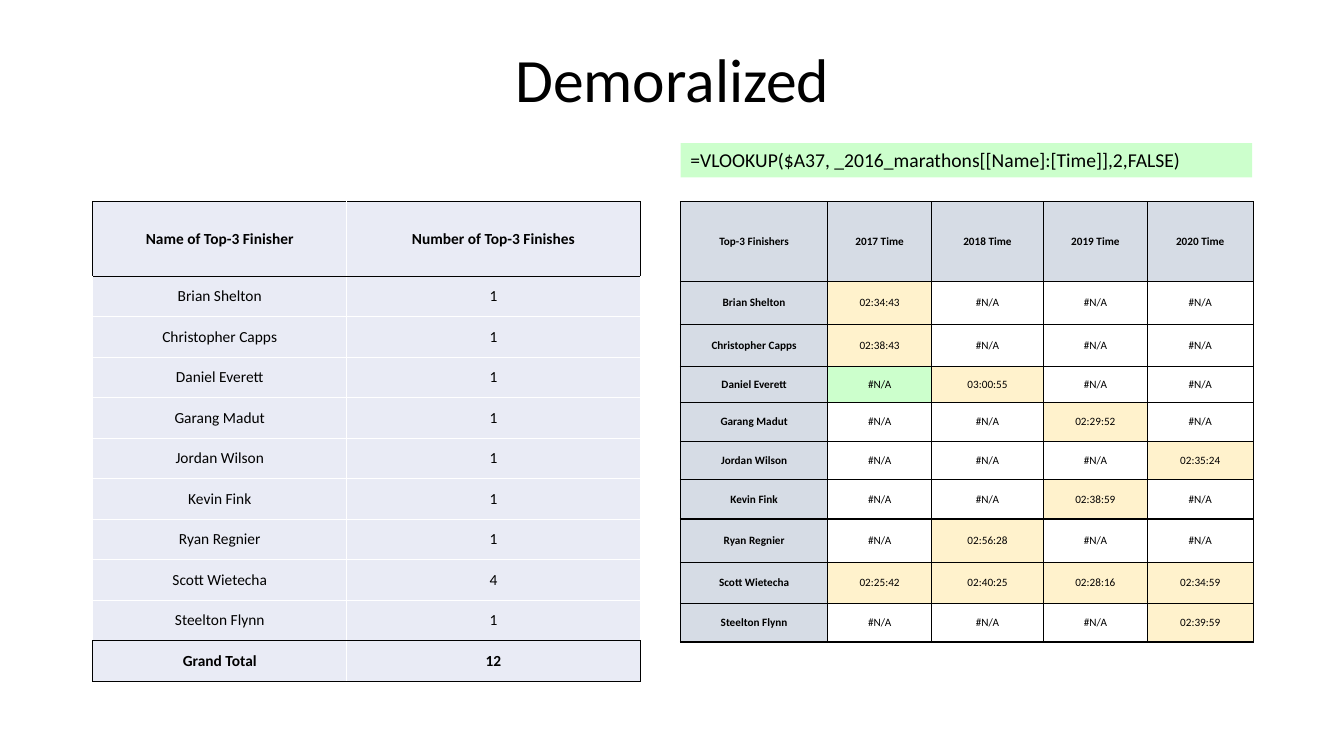
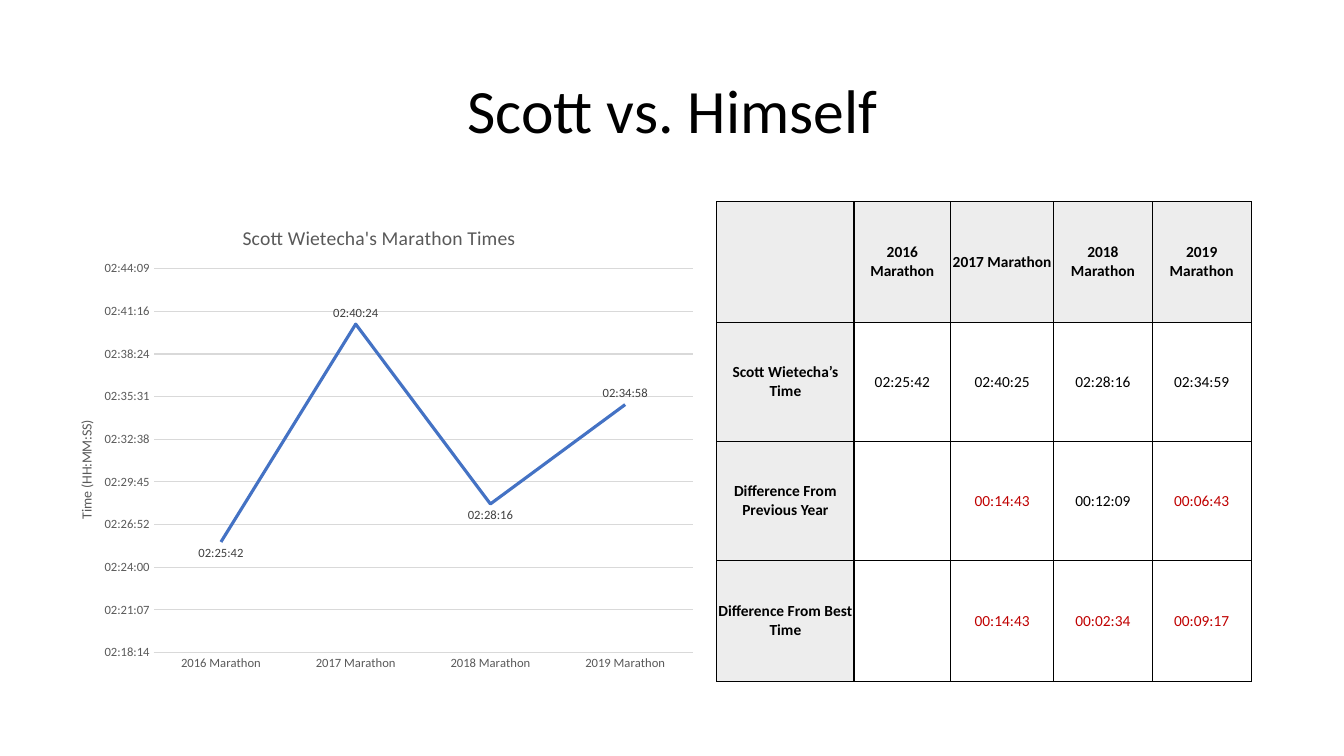
from dataclasses import dataclass
from typing import Callable, Optional

import pptx
import pptx.chart.data
import pptx.dml.color
import pptx.enum.chart
import pptx.enum.text
import pptx.oxml
import pptx.oxml.ns
import pptx.util
from pptx.util import Inches

FONT = "Calibri"
COLORS = {
    "black": "000000",
    "white": "FFFFFF",
    "pale_blue": "E9EBF5",
    "header_blue": "D6DCE5",
    "pale_gray": "EDEDED",
    "time": "FFF2CC",
    "formula": "CCFFCC",
    "slower": "C00000",
    "line": "4472C4",
    "axis": "D9D9D9",
    "axis_text": "595959",
    "label_text": "404040",
}
NA = "#N/A"
TIME_FORMAT = "hh:mm:ss"
SECONDS_PER_DAY = 86400

CENTER = pptx.enum.text.PP_ALIGN.CENTER
MIDDLE = pptx.enum.text.MSO_ANCHOR.MIDDLE

TABLE_TOP = 2.0
YEARS = ("2017", "2018", "2019", "2020")
RESULTS = {
    "Brian Shelton": ("02:34:43", NA, NA, NA),
    "Christopher Capps": ("02:38:43", NA, NA, NA),
    "Daniel Everett": (NA, "03:00:55", NA, NA),
    "Garang Madut": (NA, NA, "02:29:52", NA),
    "Jordan Wilson": (NA, NA, NA, "02:35:24"),
    "Kevin Fink": (NA, NA, "02:38:59", NA),
    "Ryan Regnier": (NA, "02:56:28", NA, NA),
    "Scott Wietecha": ("02:25:42", "02:40:25", "02:28:16", "02:34:59"),
    "Steelton Flynn": (NA, NA, NA, "02:39:59"),
}
FORMULA_CELL = ("Daniel Everett", 0)
MARATHONS = tuple(f"{year} Marathon" for year in range(2016, 2020))
SCOTT_TIMES = RESULTS["Scott Wietecha"]


@dataclass
class Cell:
    text: str
    fill: str = "white"
    bold: bool = False
    color: str = "black"


@dataclass
class Border:
    color: str = "black"
    width: float = 1


@dataclass
class Table:
    left: float
    cols: list[float]
    rows: list[float]
    size: float
    cells: list[list[Cell]]
    # Called with row, column and side (L, R, T or B)
    border: Callable[[int, int, str], Border]


def rgb(name: str) -> pptx.dml.color.RGBColor:
    return pptx.dml.color.RGBColor.from_string(COLORS[name])


def style_font(font, size: float, color: str, bold: bool = False) -> None:
    font.name = FONT
    font.size = pptx.util.Pt(size)
    font.bold = bold
    font.color.rgb = rgb(color)


def add_run(p, text: str, size: float, color: str = "black", bold: bool = False) -> None:
    r = p.add_run()
    r.text = text
    style_font(r.font, size, color, bold)


def add_title(s, text: str, height: float) -> None:
    tf = s.shapes.add_textbox(Inches(0.92), Inches(0.4), Inches(11.5), Inches(height)).text_frame
    tf.word_wrap = True
    tf.vertical_anchor = MIDDLE
    p = tf.paragraphs[0]
    p.alignment = CENTER
    p.line_spacing = 0.9
    add_run(p, text, 44)


def set_border(cell, index: int, side: str, border: Border) -> None:
    width = int(pptx.util.Pt(border.width))
    ln = pptx.oxml.parse_xml(
        f'<a:ln{side} {pptx.oxml.ns.nsdecls("a")} w="{width}"><a:solidFill>'
        f'<a:srgbClr val="{COLORS[border.color]}"/></a:solidFill></a:ln{side}>'
    )
    cell._tc.get_or_add_tcPr().insert(index, ln)


def add_table(s, spec: Table) -> None:
    table = s.shapes.add_table(
        len(spec.rows), len(spec.cols), Inches(spec.left), Inches(TABLE_TOP),
        Inches(sum(spec.cols)), Inches(sum(spec.rows)),
    ).table
    table.first_row = table.horz_banding = False
    for column, width in zip(table.columns, spec.cols):
        column.width = Inches(width)
    for row, height in zip(table.rows, spec.rows):
        row.height = Inches(height)
    for i, row_cells in enumerate(spec.cells):
        for j, content in enumerate(row_cells):
            cell = table.cell(i, j)
            cell.margin_left = cell.margin_right = cell.margin_top = cell.margin_bottom = 0
            cell.vertical_anchor = MIDDLE
            for index, side in enumerate("LRTB"):
                set_border(cell, index, side, spec.border(i, j, side))
            cell.fill.solid()
            cell.fill.fore_color.rgb = rgb(content.fill)
            if content.text:
                p = cell.text_frame.paragraphs[0]
                p.alignment = CENTER
                add_run(p, content.text, spec.size, content.color, content.bold)


def finishes_table() -> Table:
    counts = {name: sum(t != NA for t in times) for name, times in RESULTS.items()}
    body = [(name, str(count)) for name, count in counts.items()]
    lines = [("Name of Top-3 Finisher", "Number of Top-3 Finishes"), *body,
             ("Grand Total", str(sum(counts.values())))]
    last = len(lines) - 1

    def border(row: int, col: int, side: str) -> Border:
        """Box the header and total rows in black; all other edges are white."""
        if side in "TB":
            black = row + (side == "B") in (0, 1, last, last + 1)
        else:
            black = row in (0, last) and (col, side) in ((0, "L"), (1, "R"))
        return Border("black" if black else "white")

    cells = [[Cell(text, "pale_blue", i in (0, last)) for text in line]
             for i, line in enumerate(lines)]
    header = 0.74
    rows = [header] + [(4.76 - header) / last] * last
    return Table(0.92, [2.52, 2.91], rows, 11, cells, border)


def times_table() -> Table:
    def time_fill(name: str, index: int, time: str) -> str:
        if (name, index) == FORMULA_CELL:
            return "formula"
        return "white" if time == NA else "time"

    headers = ["Top-3 Finishers"] + [f"{year} Time" for year in YEARS]
    cells = [[Cell(text, "header_blue", True) for text in headers]]
    for name, times in RESULTS.items():
        cells.append([Cell(name, "header_blue", True)]
                     + [Cell(t, time_fill(name, i, t)) for i, t in enumerate(times)])
    return Table(6.75, [1.46, 1.03, 1.11, 1.03, 1.05],
                 [0.79, 0.43, 0.42, 0.35, 0.39, 0.38, 0.39, 0.43, 0.41, 0.38],
                 8, cells, lambda row, col, side: Border())


def differences_table() -> Table:
    faster = "00:12:09"
    lines = {
        "Scott Wietecha’s Time": SCOTT_TIMES,
        "Difference From Previous Year": ("", "00:14:43", faster, "00:06:43"),
        "Difference From Best Time": ("", "00:14:43", "00:02:34", "00:09:17"),
    }

    def border(row: int, col: int, side: str) -> Border:
        """Draw full lines around the headers and thin ones inside the grid."""
        if side in "TB":
            edge = row + (side == "B")
            full = edge <= 1 or (edge == 4 and col == 0)
        else:
            edge = col + (side == "R")
            full = edge <= 1 or (edge == 5 and row == 0)
        return Border(width=1 if full else 0.5)

    cells = [[Cell(text, "pale_gray", True) for text in ("", *MARATHONS)]]
    for label, times in lines.items():
        cells.append([Cell(label, "pale_gray", True)] + [
            Cell(t, color="black" if times is SCOTT_TIMES or t == faster else "slower")
            for t in times])
    return Table(7.11, [1.36, 0.96, 1.02, 0.98, 0.98], [1.2, 1.18, 1.18, 1.2],
                 11, cells, border)


def add_formula(s) -> None:
    sp = s.shapes.add_textbox(Inches(6.75), Inches(1.42), Inches(5.67), Inches(0.34))
    sp.fill.solid()
    sp.fill.fore_color.rgb = rgb("formula")
    tf = sp.text_frame
    tf.word_wrap = True
    tf.auto_size = pptx.enum.text.MSO_AUTO_SIZE.SHAPE_TO_FIT_TEXT
    add_run(tf.paragraphs[0], "=VLOOKUP($A37, _2016_marathons[[Name]:[Time]],2,FALSE)", 14)


def day_fraction(time: str) -> float:
    hours, minutes, seconds = map(int, time.split(":"))
    return round((hours * 3600 + minutes * 60 + seconds) / SECONDS_PER_DAY, 6)


def set_layout(parent, x: float, y: float, size: Optional[tuple[float, float]] = None) -> None:
    """Place a chart part by fractions of the chart area."""
    qn = pptx.oxml.ns.qn
    for old in parent.findall(qn("c:layout")):
        parent.remove(old)
    inner = '<c:layoutTarget val="inner"/>' if size else ""
    extent = f'<c:w val="{size[0]}"/><c:h val="{size[1]}"/>' if size else ""
    layout = pptx.oxml.parse_xml(
        f'<c:layout {pptx.oxml.ns.nsdecls("c")}><c:manualLayout>{inner}'
        f'<c:xMode val="edge"/><c:yMode val="edge"/><c:x val="{x}"/><c:y val="{y}"/>'
        f'{extent}</c:manualLayout></c:layout>'
    )
    parent.insert(0 if parent.find(qn("c:tx")) is None else 1, layout)


def set_chart_title(title, text: str, size: float, x: float, y: float) -> None:
    add_run(title.text_frame.paragraphs[0], text, size, "axis_text")
    set_layout(title._element, x, y)


def style_line(line, color: str, width: float) -> None:
    line.color.rgb = rgb(color)
    line.width = pptx.util.Pt(width)


def add_times_chart(s) -> None:
    enum = pptx.enum.chart
    data = pptx.chart.data.CategoryChartData(number_format=TIME_FORMAT)
    data.categories = MARATHONS
    data.add_series("Series 1", [day_fraction(t) for t in SCOTT_TIMES])
    chart = s.shapes.add_chart(enum.XL_CHART_TYPE.LINE, Inches(0.48), Inches(TABLE_TOP),
                               Inches(6.52), Inches(4.76), data).chart
    style_font(chart.font, 10, "black")
    chart.has_legend = False
    chart.has_title = True
    set_chart_title(chart.chart_title, "Scott Wietecha's Marathon Times", 14, 0.29, 0.04)
    set_layout(chart._chartSpace.chart.plotArea, 0.16, 0.14, (0.82, 0.8))

    for axis in (chart.category_axis, chart.value_axis):
        axis.major_tick_mark = axis.minor_tick_mark = enum.XL_TICK_MARK.NONE
        style_font(axis.tick_labels.font, 9, "axis_text")
    style_line(chart.category_axis.format.line, "axis", 0.75)
    axis = chart.value_axis
    axis.minimum_scale, axis.maximum_scale, axis.major_unit = 0.096, 0.114, 0.002
    axis.tick_labels.number_format = TIME_FORMAT
    axis.tick_labels.number_format_is_linked = False
    axis.format.line.fill.background()
    style_line(axis.major_gridlines.format.line, "axis", 0.75)
    axis.has_title = True
    set_chart_title(axis.axis_title, "Time (HH:MM:SS)", 10, 0.04, 0.45)

    chart.plots[0].vary_by_categories = False
    series = chart.plots[0].series[0]
    series.smooth = False
    series.marker.style = enum.XL_MARKER_STYLE.NONE
    style_line(series.format.line, "line", 2.25)
    labels = series.data_labels
    labels.show_value = True
    labels.position = enum.XL_LABEL_POSITION.ABOVE
    labels.number_format = TIME_FORMAT
    labels.number_format_is_linked = False
    style_font(labels.font, 9, "label_text")
    for low_point in (0, 2):
        label = series.points[low_point].data_label
        style_font(label.font, 9, "label_text")
        label.position = enum.XL_LABEL_POSITION.BELOW


def main() -> None:
    prs = pptx.Presentation()
    prs.slide_width, prs.slide_height = Inches(13.33), Inches(7.5)
    blank = prs.slide_layouts[6]

    s = prs.slides.add_slide(blank)
    add_title(s, "Demoralized", 0.84)
    add_table(s, finishes_table())
    add_table(s, times_table())
    add_formula(s)

    s = prs.slides.add_slide(blank)
    add_title(s, "Scott vs. Himself", 1.45)
    add_table(s, differences_table())
    add_times_chart(s)

    prs.save("out.pptx")


if __name__ == "__main__":
    main()
